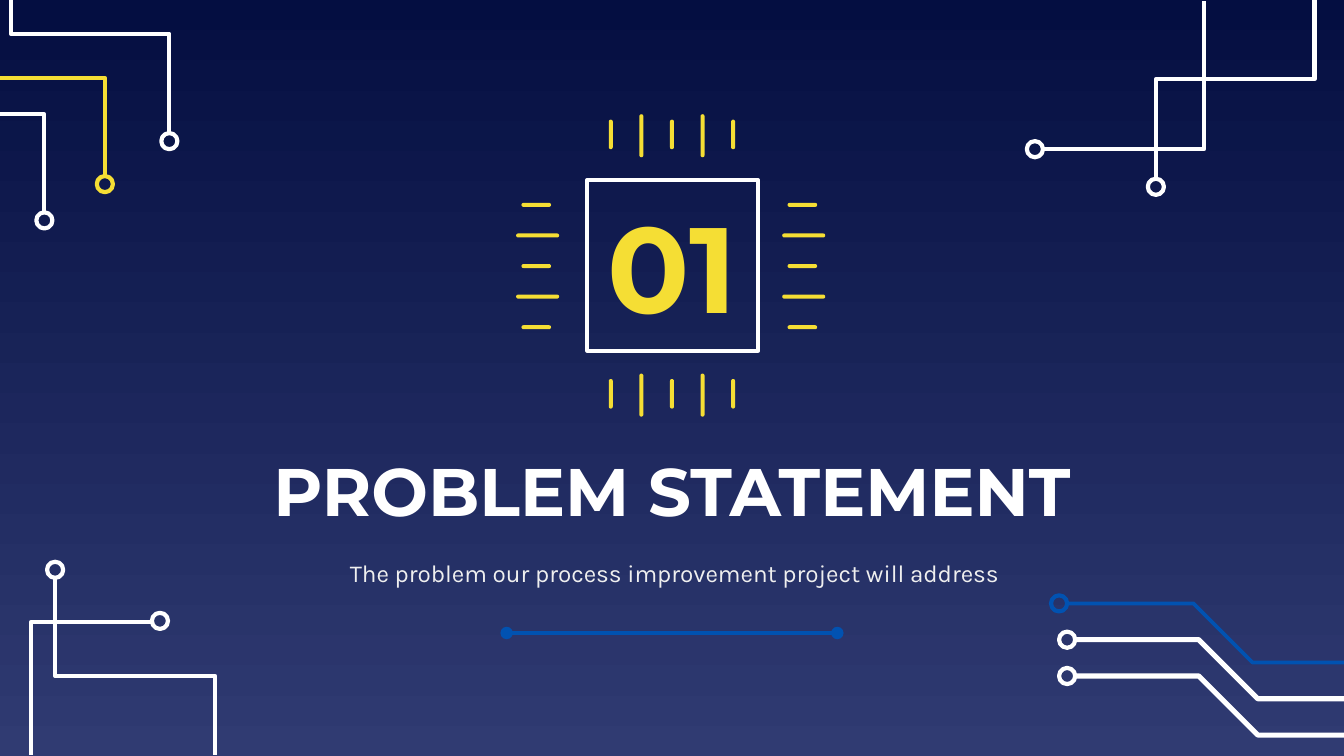
from lxml import etree
from pptx import Presentation
from pptx.dml.color import RGBColor
from pptx.enum.shapes import MSO_CONNECTOR, MSO_SHAPE
from pptx.enum.text import MSO_ANCHOR, MSO_AUTO_SIZE, PP_ALIGN
from pptx.oxml.ns import qn
from pptx.util import Inches, Pt

WHITE, YELLOW, BLUE = "FFFFFF", "F5DE34", "0152B1"
rgb = RGBColor.from_string


def write(sp, text, size, font, color, bold=False):
    tf = sp.text_frame
    tf.word_wrap = True
    tf.auto_size = MSO_AUTO_SIZE.NONE
    tf.vertical_anchor = MSO_ANCHOR.MIDDLE
    tf.margin_left = tf.margin_right = tf.margin_top = tf.margin_bottom = Inches(0.1)
    tf.text = text
    p = tf.paragraphs[0]
    p.alignment = PP_ALIGN.CENTER
    f = p.runs[0].font
    f.size, f.name, f.bold = Pt(size), font, bold
    f.color.rgb = rgb(color)


def outline(sp, color, width=2.25):
    sp.shadow.inherit = False
    sp.fill.background()
    sp.line.color.rgb = rgb(color)
    sp.line.width = Pt(width)


prs = Presentation()
prs.slide_width = Inches(10)
prs.slide_height = Inches(10 * 9 / 16)
s = prs.slides.add_slide(prs.slide_layouts[5])

# Background gradient, dark at the top
fill = s.background.fill
fill.gradient()
fill.gradient_angle = 270
for stop, color in zip(fill.gradient_stops, ("040E41", "303B72")):
    stop.color.rgb = rgb(color)

# Circuit traces: colour, line width, ring centre, points from the ring to the slide edge
traces = [
    (BLUE, 2, (7.88, 4.49), [(7.95, 4.49), (8.88, 4.49), (9.32, 4.93), (10, 4.93)]),
    (WHITE, 2.75, (7.94, 4.76), [(8, 4.76), (8.92, 4.76), (9.36, 5.2), (10, 5.2)]),
    (WHITE, 2.75, (7.94, 5.03), [(8, 5.03), (8.92, 5.03), (9.36, 5.47), (10, 5.47)]),
    (WHITE, 2.25, (0.41, 4.24), [(0.41, 4.3), (0.41, 5.03), (1.6, 5.03), (1.6, 5.62)]),
    (WHITE, 2.25, (1.19, 4.62), [(1.13, 4.63), (0.23, 4.63), (0.23, 5.62)]),
    (WHITE, 2.25, (7.7, 1.11), [(7.76, 1.11), (8.96, 1.11), (8.96, 0.01)]),
    (WHITE, 2.25, (8.6, 1.39), [(8.6, 1.33), (8.6, 0.59), (9.78, 0.59), (9.78, 0)]),
    (WHITE, 2.25, (0.33, 1.64), [(0.33, 1.58), (0.33, 0.85), (0, 0.85)]),
    (YELLOW, 2.25, (0.78, 1.37), [(0.78, 1.32), (0.78, 0.58), (0, 0.58)]),
    (WHITE, 2.25, (1.26, 1.05), [(1.26, 0.99), (1.26, 0.25), (0.08, 0.25), (0.08, 0)]),
]
RING = 0.12
for color, width, (cx, cy), points in traces:
    points = [(Inches(x), Inches(y)) for x, y in points]
    fb = s.shapes.build_freeform(*points[0])
    fb.add_line_segments(points[1:], close=False)
    outline(fb.convert_to_shape(), color, width)
    ring = s.shapes.add_shape(MSO_SHAPE.OVAL, Inches(cx - RING / 2), Inches(cy - RING / 2),
                              Inches(RING), Inches(RING))
    outline(ring, color)

# Title
title = s.shapes.title
title.left, title.top = Inches(1.74), Inches(3.31)
title.width, title.height = Inches(6.52), Inches(0.67)
write(title, "PROBLEM STATEMENT", 36, "Montserrat", WHITE, True)

# Chip with the section number
chip = s.shapes.add_shape(MSO_SHAPE.RECTANGLE, Inches(4.37), Inches(1.34), Inches(1.27), Inches(1.27))
outline(chip, WHITE)
write(chip, "01", 65, "Montserrat", YELLOW, True)

# Subtitle
subtitle = s.shapes.add_textbox(Inches(2.47), Inches(4.03), Inches(5.09), Inches(0.46))
write(subtitle, "The problem our process improvement project will address", 13, "Karla", "EFEFEF")

# Divider with round ends
divider = s.shapes.add_connector(MSO_CONNECTOR.STRAIGHT, Inches(3.77), Inches(4.71), Inches(6.23), Inches(4.71))
divider.line.color.rgb = rgb(BLUE)
divider.line.width = Pt(2.25)
ln = divider.line._get_or_add_ln()
for end in ("a:headEnd", "a:tailEnd"):
    etree.SubElement(ln, qn(end), type="oval")
etree.SubElement(divider._element.spPr, qn("a:effectLst"))

# Chip pins: five on each side, short and long in turn
PIN, SPAN = 0.03, 0.91
for side, centre in (("left", 3.99), ("right", 5.97), ("top", 1), ("bottom", 2.93)):
    for i in range(5):
        is_long = i % 2 == 1
        length = 0.32 if is_long else 0.22
        across = centre + (0.01 if is_long else 0)
        offset = (i - 2) * SPAN / 4
        if side in ("left", "right"):
            cx, cy, w, h = across, 1.98 + offset, length, PIN
        else:
            cx, cy, w, h = 5 + offset, across, PIN, length
        pin = s.shapes.add_shape(MSO_SHAPE.ROUNDED_RECTANGLE, Inches(cx - w / 2), Inches(cy - h / 2),
                                 Inches(w), Inches(h))
        pin.adjustments[0] = 0.5
        pin.shadow.inherit = False
        pin.fill.solid()
        pin.fill.fore_color.rgb = rgb(YELLOW)
        pin.line.fill.background()

prs.save("out.pptx")
